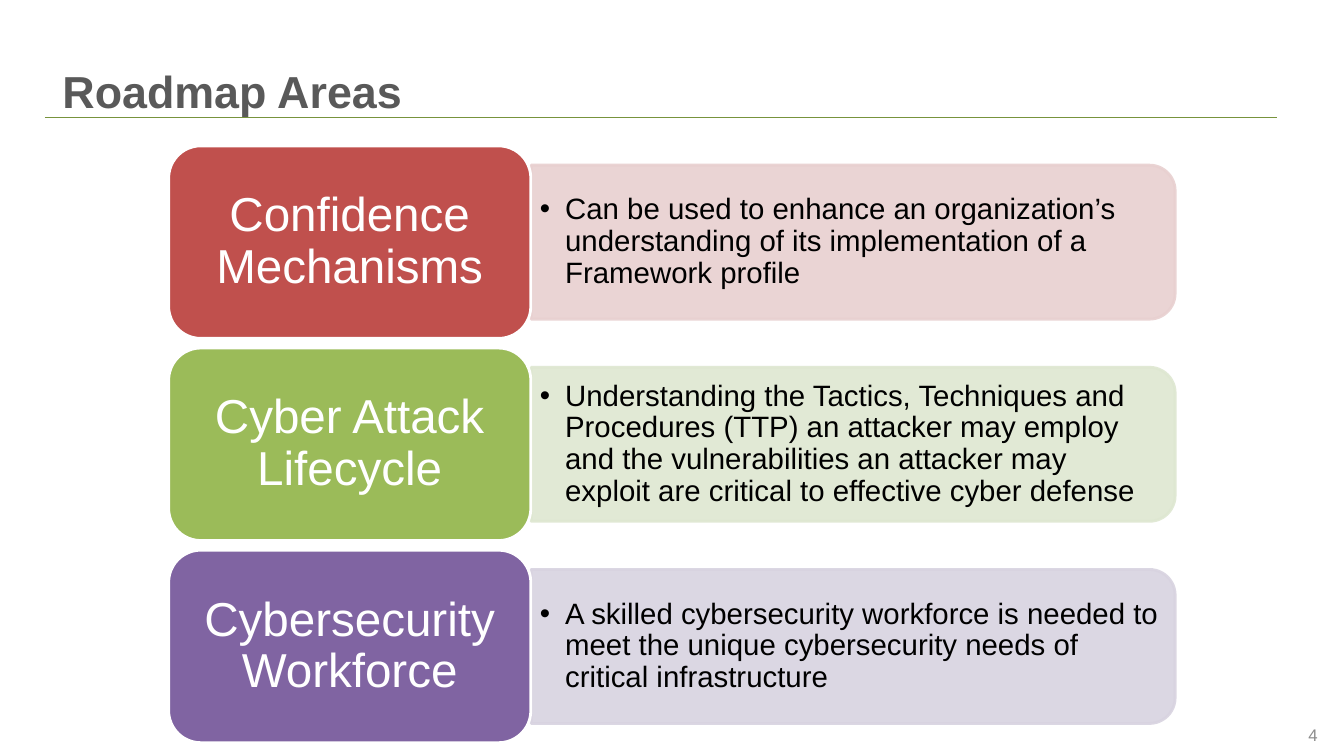
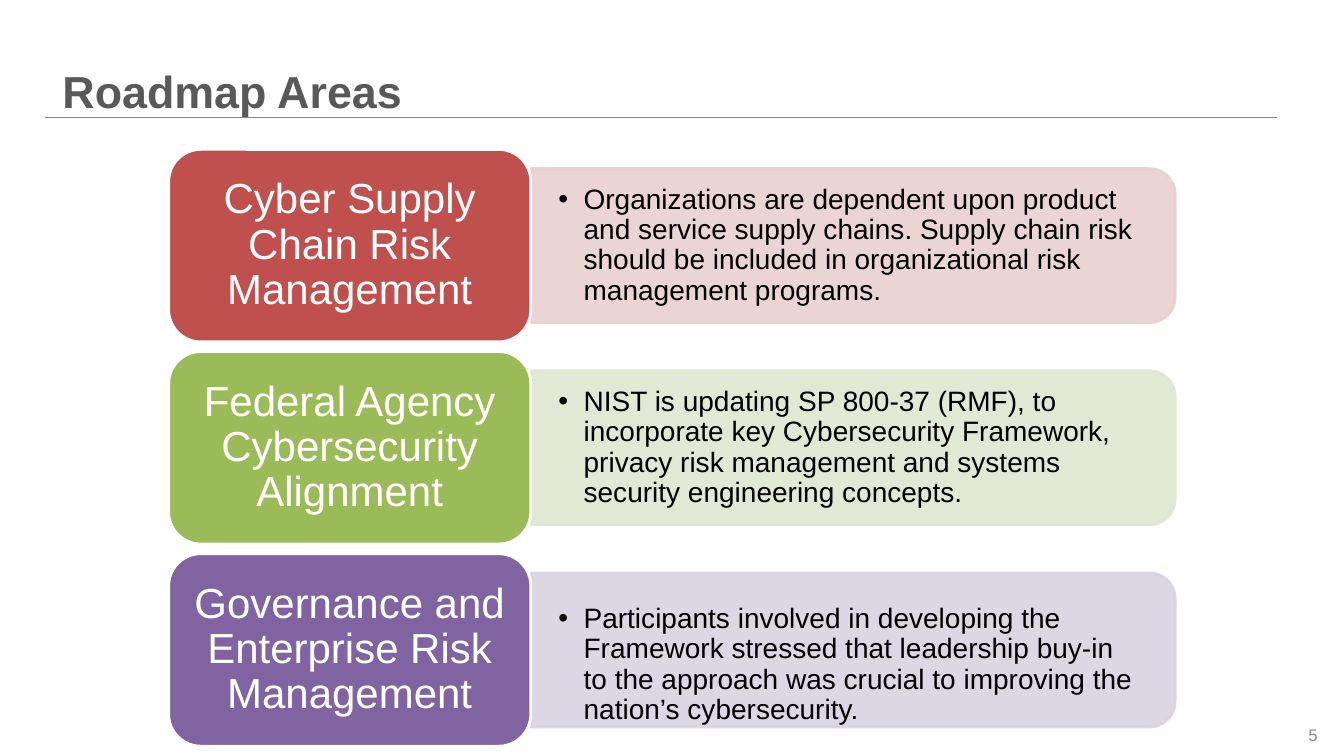
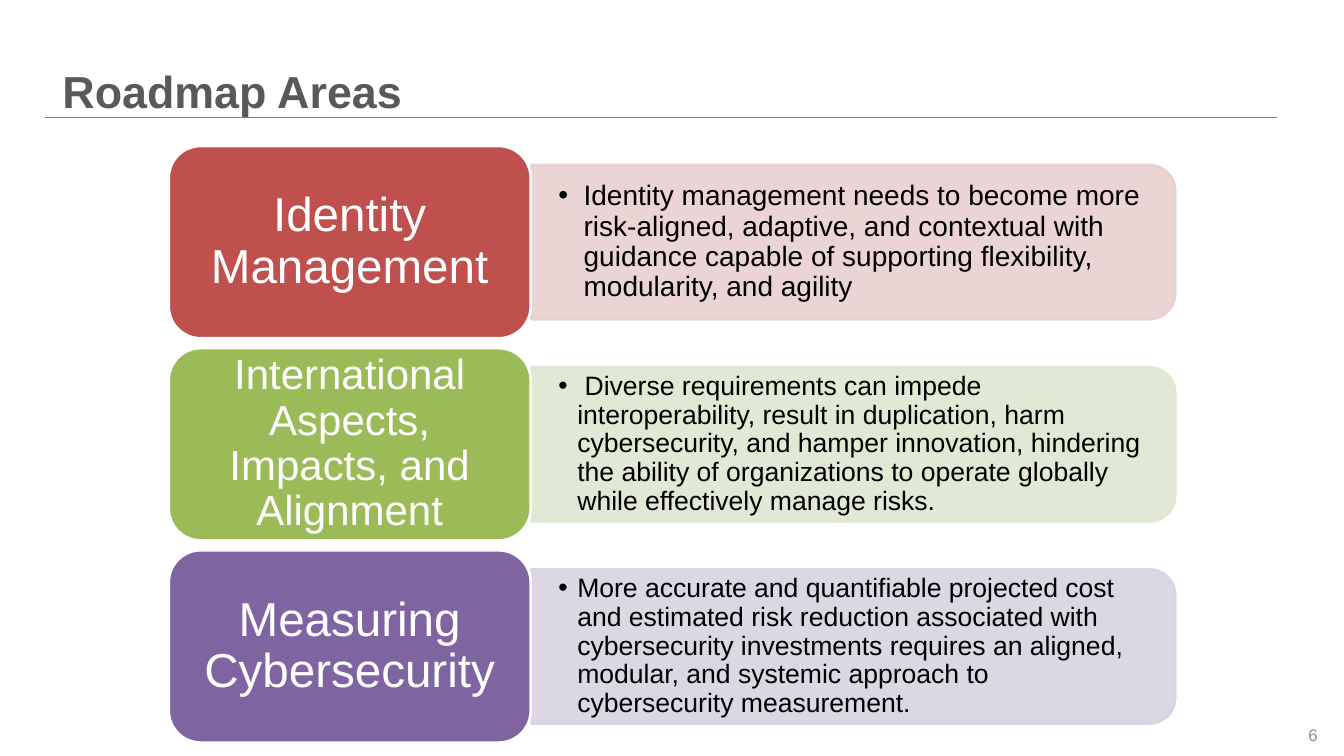
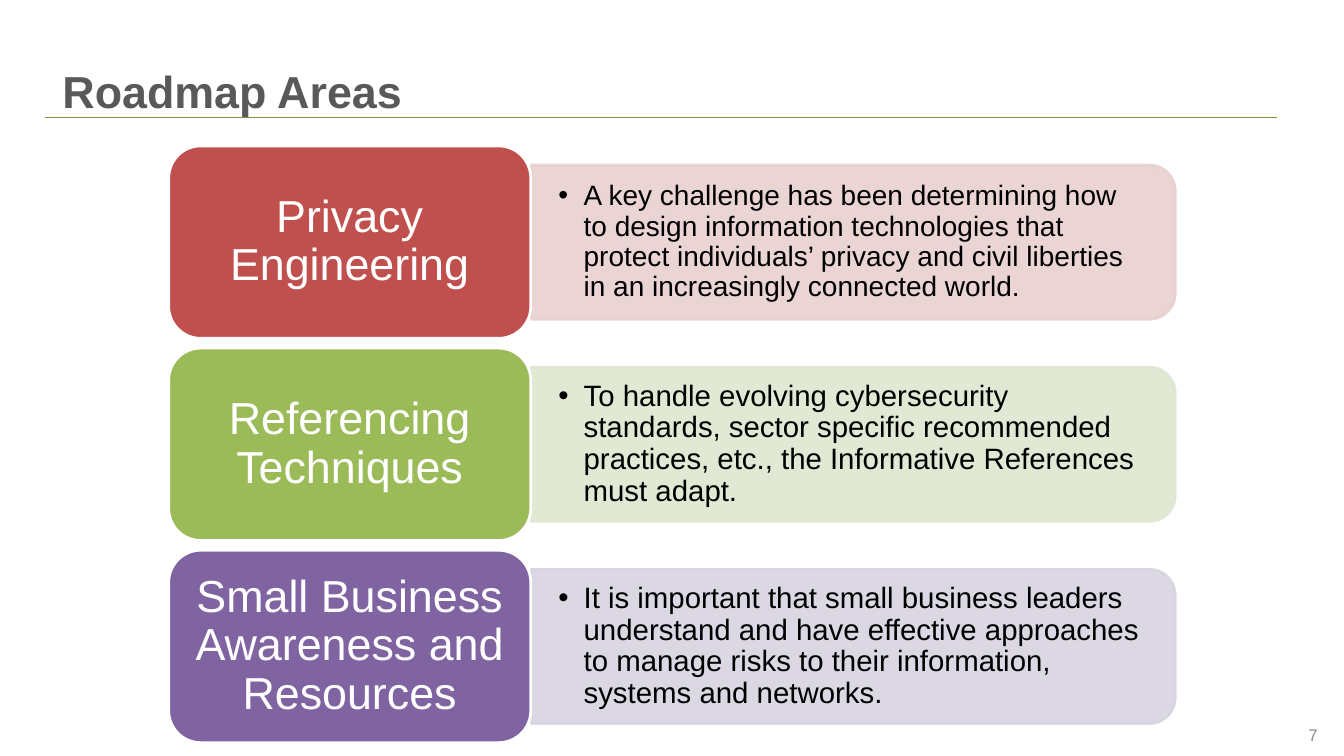
"""Build the four Roadmap Areas slides."""
import dataclasses
import typing

import lxml.etree
import pptx
import pptx.dml.color
import pptx.enum.shapes
import pptx.enum.text
import pptx.oxml.ns
import pptx.util

Pt = pptx.util.Pt
SHAPE = pptx.enum.shapes.MSO_SHAPE
ALIGN = pptx.enum.text.PP_ALIGN
ANCHOR = pptx.enum.text.MSO_ANCHOR

FONT = "Arial"
WHITE, BLACK = "FFFFFF", "000000"
TITLE_GREY, NUMBER_GREY, RULE_GREEN = "595959", "8C8C8C", "77933C"
ROW_COLOURS = [("C0504D", "E8D0D0"), ("9BBB59", "DEE7D1"), ("8064A2", "D8D3E0")]

FIRST_NUMBER = 4
CARD_LEFT, CARD_W, CARD_H = 120.5, 258.7, 137.5
ROW_PITCH = 144.4
PANEL_LEFT, PANEL_W, PANEL_H = 379.4, 460, 110
BODY_W, BODY_H = 455, 99.4


@dataclasses.dataclass(frozen=True)
class Area:
    """One roadmap area: its card label and its description."""

    label: str
    body: str
    label_size: float = 34
    body_size: float = 20
    drop: float = 0


@dataclasses.dataclass(frozen=True)
class Page:
    """One slide of areas, with the top of its first row."""

    areas: list[Area]
    top: float = 104.2
    body_inset: float = 19.5


PAGES = [
    Page([
        Area("Confidence Mechanisms",
             "Can be used to enhance an organization’s understanding of its "
             "implementation of a Framework profile", body_size=21),
        Area("Cyber Attack Lifecycle",
             "Understanding the Tactics, Techniques and Procedures (TTP) an attacker "
             "may employ and the vulnerabilities an attacker may exploit are critical "
             "to effective cyber defense", body_size=21),
        Area("Cybersecurity Workforce",
             "A skilled cybersecurity workforce is needed to meet the unique "
             "cybersecurity needs of critical infrastructure", body_size=21),
    ], body_inset=6.3),
    Page([
        Area("Cyber Supply Chain Risk Management",
             "Organizations are dependent upon product and service supply chains. "
             "Supply chain risk should be included in organizational risk management "
             "programs.", label_size=30),
        Area("Federal Agency Cybersecurity Alignment",
             "NIST is updating SP 800-37 (RMF), to incorporate key Cybersecurity "
             "Framework, privacy risk management and systems security engineering "
             "concepts.", label_size=30),
        Area("Governance and Enterprise Risk Management",
             "Participants involved in developing the Framework stressed that "
             "leadership buy-in to the approach was crucial to improving the nation’s "
             "cybersecurity.", label_size=30, drop=10.7),
    ], top=106.7),
    Page([
        Area("Identity Management",
             "Identity management needs to become more risk-aligned, adaptive, and "
             "contextual with guidance capable of supporting flexibility, modularity, "
             "and agility"),
        Area("International Aspects, Impacts, and Alignment",
             " Diverse requirements can impede interoperability, result in duplication, "
             "harm cybersecurity, and hamper innovation, hindering the ability of "
             "organizations to operate globally while effectively manage risks.",
             label_size=30, body_size=19),
        Area("Measuring Cybersecurity",
             "More accurate and quantifiable projected cost and estimated risk "
             "reduction associated with cybersecurity investments requires an aligned, "
             "modular, and systemic approach to cybersecurity measurement.",
             body_size=19),
    ]),
    Page([
        Area("Privacy Engineering",
             "A key challenge has been determining how to design information "
             "technologies that protect individuals’ privacy and civil liberties in an "
             "increasingly connected world.", label_size=32),
        Area("Referencing Techniques",
             "To handle evolving cybersecurity standards, sector specific recommended "
             "practices, etc., the Informative References must adapt.",
             label_size=32, body_size=21),
        Area("Small Business Awareness and Resources",
             "It is important that small business leaders understand and have "
             "effective approaches to manage risks to their information, systems and "
             "networks.", label_size=32, body_size=21),
    ]),
]


def rgb(colour: str) -> pptx.dml.color.RGBColor:
    """Return the colour of a hex string."""
    return pptx.dml.color.RGBColor.from_string(colour)


def sub(parent: typing.Any, tag: str, **attrs: str) -> typing.Any:
    """Append a DrawingML child element."""
    return lxml.etree.SubElement(parent, pptx.oxml.ns.qn(tag), **attrs)


def write(tf: typing.Any, text: str, *, size: float, colour: str,
          bold: bool = False, align: typing.Any = ALIGN.LEFT,
          anchor: typing.Any = ANCHOR.MIDDLE, spacing: typing.Any = None,
          inset: tuple[float, float] = (7.2, 3.6), indent: float = 0) -> None:
    """Write one formatted paragraph, bulleted when it has an indent."""
    tf.auto_size = pptx.enum.text.MSO_AUTO_SIZE.NONE
    tf.word_wrap = True
    tf.vertical_anchor = anchor
    tf.margin_left = tf.margin_right = Pt(inset[0])
    tf.margin_top = tf.margin_bottom = Pt(inset[1])
    p = tf.paragraphs[0]
    p.alignment = align
    p.line_spacing = spacing
    if indent:
        ppr = p._p.get_or_add_pPr()
        ppr.set("marL", str(Pt(indent)))
        ppr.set("indent", str(-Pt(indent)))
        sub(ppr, "a:buFont", typeface=FONT)
        sub(ppr, "a:buChar", char="•")
    r = p.add_run()
    r.text = text
    r.font.name, r.font.size, r.font.bold = FONT, Pt(size), bold
    r.font.color.rgb = rgb(colour)


def add_box(s: typing.Any, left: float, top: float, width: float,
            height: float) -> typing.Any:
    """Add a text box and return its text frame."""
    return s.shapes.add_textbox(Pt(left), Pt(top), Pt(width), Pt(height)).text_frame


def add_block(s: typing.Any, kind: typing.Any, left: float, top: float, width: float,
              height: float, *, fill: str, line: str) -> typing.Any:
    """Add a filled preset shape with a 2 pt outline."""
    sp = s.shapes.add_shape(kind, Pt(left), Pt(top), Pt(width), Pt(height))
    sp.shadow.inherit = False
    sp.fill.solid()
    sp.fill.fore_color.rgb = rgb(fill)
    sp.line.color.rgb = rgb(line)
    sp.line.width = Pt(2)
    return sp


def add_frame(s: typing.Any, number: int) -> None:
    """Add the title, the rule under it and the slide number."""
    title = s.shapes.title
    title.left, title.top, title.width, title.height = Pt(37.4), Pt(9.4), Pt(666), Pt(77.8)
    write(title.text_frame, "Roadmap Areas", size=32, colour=TITLE_GREY, bold=True,
          anchor=ANCHOR.BOTTOM, spacing=Pt(26))
    rule = s.shapes.add_connector(pptx.enum.shapes.MSO_CONNECTOR.STRAIGHT,
                                  Pt(32), Pt(84), Pt(912), Pt(84))
    rule.line.color.rgb = rgb(RULE_GREEN)
    rule.line.width = Pt(0.75)
    sub(rule._element.spPr, "a:effectLst")
    write(add_box(s, 780.5, 510.5, 167.8, 28.8), str(number), size=12,
          colour=NUMBER_GREY, align=ALIGN.RIGHT)


def add_area(s: typing.Any, area: Area, top: float, body_inset: float,
             strong: str, tint: str) -> None:
    """Add one row: tinted panel, description and card."""
    middle = top + CARD_H / 2
    panel = add_block(s, SHAPE.ROUND_2_SAME_RECTANGLE,
                      PANEL_LEFT + (PANEL_W - PANEL_H) / 2, middle - PANEL_W / 2,
                      PANEL_H, PANEL_W, fill=tint, line=tint)
    panel.rotation = 90
    for colour in panel._element.spPr.iter(pptx.oxml.ns.qn("a:srgbClr")):
        sub(colour, "a:alpha", val="90000")
    write(add_box(s, PANEL_LEFT, middle - BODY_H / 2 + area.drop, BODY_W, BODY_H),
          area.body, size=area.body_size, colour=BLACK, spacing=0.9,
          inset=(body_inset, body_inset / 2),
          indent=18 if area.body_size >= 20 else 13.5)
    card = add_block(s, SHAPE.ROUNDED_RECTANGLE, CARD_LEFT, top, CARD_W, CARD_H,
                     fill=strong, line=WHITE)
    write(card.text_frame, area.label, size=area.label_size, colour=WHITE,
          align=ALIGN.CENTER, spacing=0.9,
          inset=(0.3 * area.label_size, 0.15 * area.label_size))


def main() -> None:
    """Build and save the presentation."""
    prs = pptx.Presentation()
    prs.slide_width, prs.slide_height = Pt(960), Pt(540)
    for number, page in enumerate(PAGES, FIRST_NUMBER):
        s = prs.slides.add_slide(prs.slide_layouts[5])
        add_frame(s, number)
        for i, (area, (strong, tint)) in enumerate(zip(page.areas, ROW_COLOURS)):
            add_area(s, area, page.top + i * ROW_PITCH, page.body_inset, strong, tint)
    prs.save("out.pptx")


if __name__ == "__main__":
    main()
